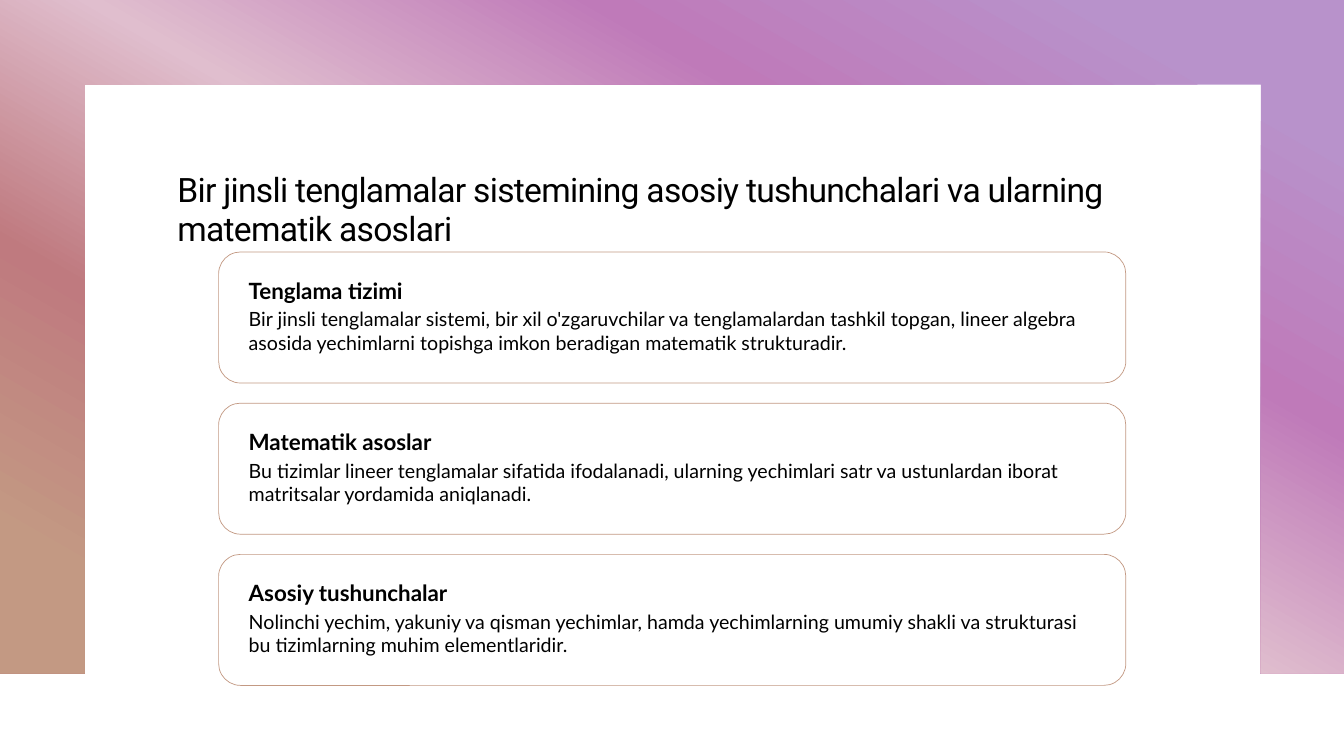
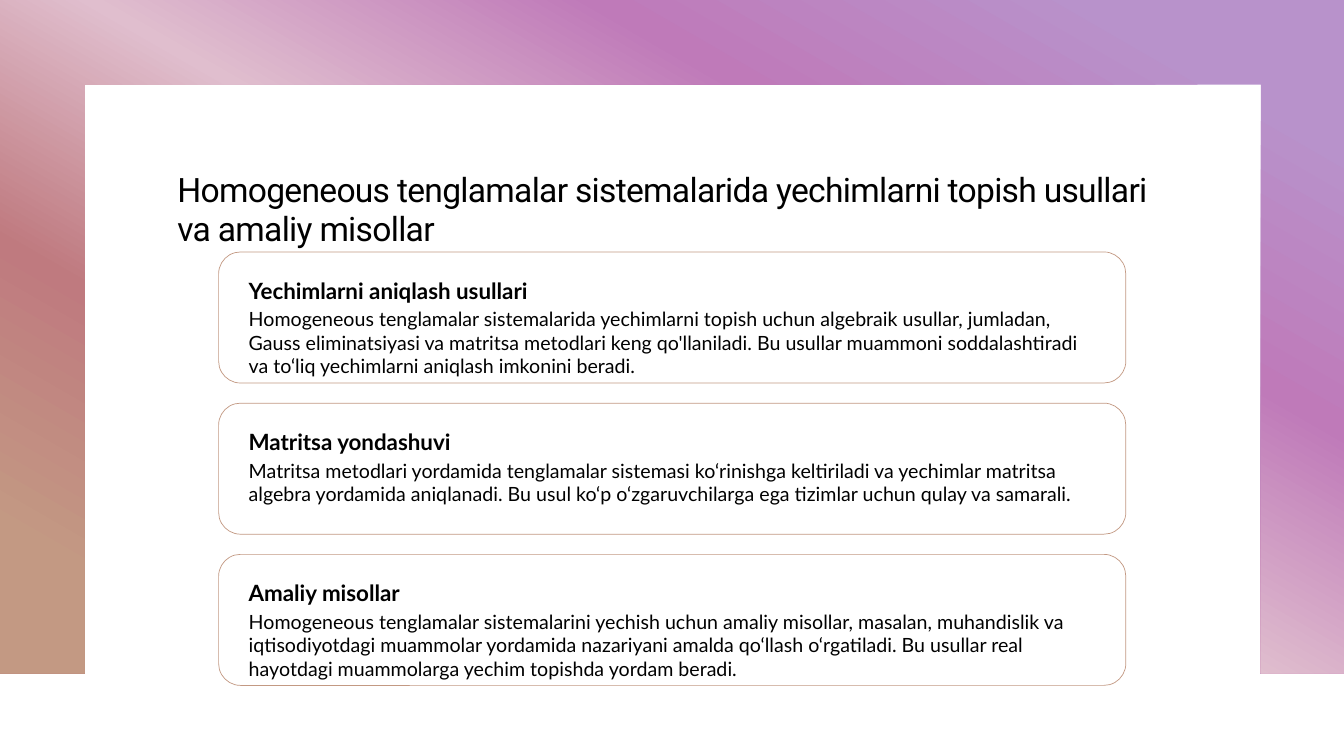
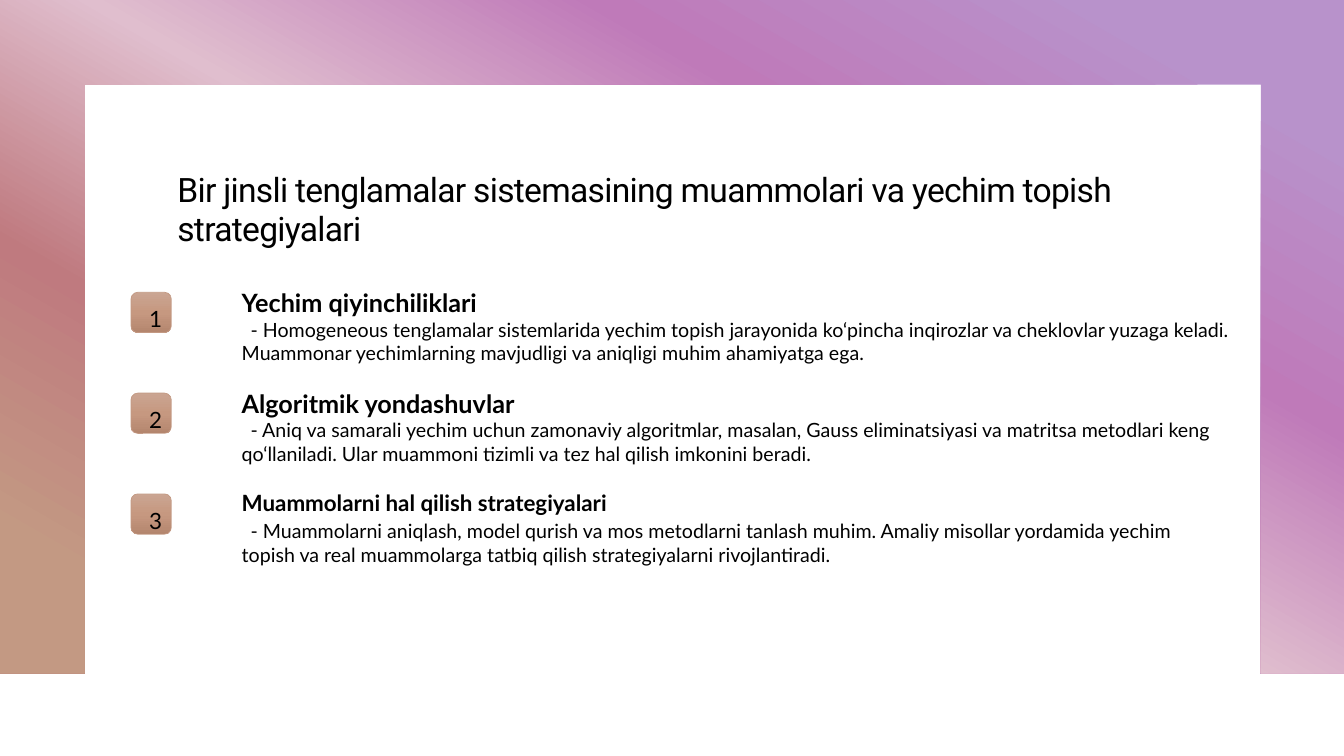
from dataclasses import dataclass

from lxml import etree
from pptx import Presentation
from pptx.dml.color import RGBColor
from pptx.enum.shapes import MSO_SHAPE
from pptx.enum.text import MSO_ANCHOR, MSO_AUTO_SIZE, PP_ALIGN
from pptx.oxml.ns import qn
from pptx.util import Pt

ROUND = MSO_SHAPE.ROUNDED_RECTANGLE
TOP = MSO_ANCHOR.TOP
LEFT = PP_ALIGN.LEFT
GROW = MSO_AUTO_SIZE.SHAPE_TO_FIT_TEXT
FIXED = MSO_AUTO_SIZE.NONE


@dataclass(frozen=True)
class Theme:
    ink: str = "000000"
    edge: str = "C39983"
    band: tuple = ((10, "B892CB"), (30, "BF7AB9"), (50, "E0BECE"),
                   (70, "BF7A7F"), (90, "C39983"))
    badge: tuple = ((0, "CAA592"), (50, "C69880"), (100, "B4866E"))
    serif: str = "Roboto"
    sans: str = "Lato"
    title: int = 24
    large: int = 18
    head: int = 16
    body: int = 14


THEME = Theme()
WIDE, HIGH = 960, 540

CARDS = [
    ("Bir jinsli tenglamalar sistemining asosiy tushunchalari va ularning matematik asoslari", [
        ("Tenglama tizimi",
         "Bir jinsli tenglamalar sistemi, bir xil o'zgaruvchilar va tenglamalardan tashkil topgan, "
         "lineer algebra asosida yechimlarni topishga imkon beradigan matematik strukturadir."),
        ("Matematik asoslar",
         "Bu tizimlar lineer tenglamalar sifatida ifodalanadi, ularning yechimlari satr va "
         "ustunlardan iborat matritsalar yordamida aniqlanadi."),
        ("Asosiy tushunchalar",
         "Nolinchi yechim, yakuniy va qisman yechimlar, hamda yechimlarning umumiy shakli va "
         "strukturasi bu tizimlarning muhim elementlaridir."),
    ]),
    ("Homogeneous tenglamalar sistemalarida yechimlarni topish usullari va amaliy misollar", [
        ("Yechimlarni aniqlash usullari",
         "Homogeneous tenglamalar sistemalarida yechimlarni topish uchun algebraik usullar, "
         "jumladan, Gauss eliminatsiyasi va matritsa metodlari keng qo'llaniladi. Bu usullar "
         "muammoni soddalashtiradi va to‘liq yechimlarni aniqlash imkonini beradi."),
        ("Matritsa yondashuvi",
         "Matritsa metodlari yordamida tenglamalar sistemasi ko‘rinishga keltiriladi va yechimlar "
         "matritsa algebra yordamida aniqlanadi. Bu usul ko‘p o‘zgaruvchilarga ega tizimlar uchun "
         "qulay va samarali."),
        ("Amaliy misollar",
         "Homogeneous tenglamalar sistemalarini yechish uchun amaliy misollar, masalan, muhandislik "
         "va iqtisodiyotdagi muammolar yordamida nazariyani amalda qo‘llash o‘rgatiladi. Bu usullar "
         "real hayotdagi muammolarga yechim topishda yordam beradi."),
    ]),
]

STEPS = ("Bir jinsli tenglamalar sistemasining muammolari va yechim topish strategiyalari", [
    ("Yechim qiyinchiliklari", THEME.large,
     "- Homogeneous tenglamalar sistemlarida yechim topish jarayonida ko‘pincha inqirozlar va "
     "cheklovlar yuzaga keladi. Muammonar yechimlarning mavjudligi va aniqligi muhim ahamiyatga ega."),
    ("Algoritmik yondashuvlar", THEME.large,
     "- Aniq va samarali yechim uchun zamonaviy algoritmlar, masalan, Gauss eliminatsiyasi va "
     "matritsa metodlari keng qo‘llaniladi. Ular muammoni tizimli va tez hal qilish imkonini beradi."),
    ("Muammolarni hal qilish strategiyalari", THEME.head,
     "- Muammolarni aniqlash, model qurish va mos metodlarni tanlash muhim. Amaliy misollar "
     "yordamida yechim topish va real muammolarga tatbiq qilish strategiyalarni rivojlantiradi."),
])


def put(item, **values):
    for name, value in values.items():
        setattr(item, name, value)


def blend(shape, stops, angle):
    """Fill with a gradient; the angle runs clockwise."""
    shape.fill.gradient()
    shape.fill.gradient_angle = 360 - angle
    rows = shape.element.spPr.find(qn("a:gradFill")).find(qn("a:gsLst"))
    for old in list(rows):
        rows.remove(old)
    for place, color in stops:
        stop = etree.SubElement(rows, qn("a:gs"), pos=str(place * 1000))
        etree.SubElement(stop, qn("a:srgbClr"), val=color)


def write(frame, text, size, face=THEME.sans, bold=False):
    """Set one left-aligned paragraph and return it."""
    para = frame.paragraphs[0]
    para.alignment = LEFT
    run = para.add_run()
    run.text = text
    put(run.font, size=Pt(size), name=face, bold=bold)
    run.font.color.rgb = RGBColor.from_string(THEME.ink)
    return para


def label(slide, box, text, size, bold=False):
    frame = slide.shapes.add_textbox(*map(Pt, box)).text_frame
    put(frame, word_wrap=True, auto_size=GROW)
    return write(frame, text, size, bold=bold)


def panel(slide, box):
    shape = slide.shapes.add_shape(ROUND, *map(Pt, box))
    shape.shadow.inherit = False
    shape.line.color.rgb = RGBColor.from_string(THEME.edge)
    shape.line.width = Pt(0.5)
    return shape


def frame_page(slide, layout):
    """Draw the gradient band and move it, with the title box, to the layout."""
    left, right, top, foot = 60.5, 900.7, 60.5, 481
    pen = slide.shapes.build_freeform(0, 0)
    pen.add_line_segments([(Pt(x), Pt(y)) for x, y in (
        (WIDE, 0), (WIDE, foot), (right, foot), (right, top),
        (left, top), (left, foot), (0, foot))])
    band = pen.convert_to_shape()
    band.shadow.inherit = False
    band.line.fill.background()
    blend(band, THEME.band, 120)
    layout.shapes.element.insert(2, band.element)
    put(layout.placeholders[0], left=Pt(119.5), top=Pt(119.5),
        width=Pt(720), height=Pt(106))


def head(slide, text):
    frame = slide.shapes.title.text_frame
    put(frame, word_wrap=True, auto_size=FIXED, vertical_anchor=TOP)
    para = write(frame, text, THEME.title, THEME.serif)
    para.line_spacing = 0.95
    para.runs[0].font._element.set("spc", "-50")


def card(slide, box, name, text):
    x, y, wide, high = box
    pad, gap = 14.4, 36
    panel(slide, box).fill.background()
    label(slide, (x + pad, y + pad, wide - 2 * pad, 21.6), name, THEME.head, True)
    label(slide, (x + pad, y + gap, wide - 2 * pad, high - gap), text, THEME.body)


def step(slide, box, mark, name, size, text):
    x, y, wide, high = box
    side, inset, row = 28.8, 72, 21.6
    badge = panel(slide, (x, y + 7.2, side, side))
    blend(badge, THEME.badge, 90)
    frame = badge.text_frame
    put(frame, margin_left=Pt(11.5), margin_top=Pt(8), margin_right=0,
        margin_bottom=0, vertical_anchor=TOP, word_wrap=False)
    write(frame, mark, THEME.head)
    label(slide, (x + inset, y, 504, row), name, size, True)
    para = label(slide, (x + inset, y + row, wide - inset, high), text, THEME.body)
    para._p.get_or_add_pPr().set("indent", str(Pt(6.3)))


def card_page(slide, title, items):
    head(slide, title)
    for i, item in enumerate(items):
        card(slide, (156.2, 180 + 108 * i, 648, 93.6), *item)


def step_page(slide, title, items):
    head(slide, title)
    for i, item in enumerate(items):
        step(slide, (93.6, 201.6 + 72 * i, 792, 72), str(i + 1), *item)


def main():
    deck = Presentation()
    put(deck, slide_width=Pt(WIDE), slide_height=Pt(HIGH))
    layout = deck.slide_layouts[5]
    pages = [deck.slides.add_slide(layout) for _ in range(3)]
    frame_page(pages[0], layout)
    for slide, (title, items) in zip(pages, CARDS):
        card_page(slide, title, items)
    step_page(pages[-1], *STEPS)
    deck.save("out.pptx")


if __name__ == "__main__":
    main()
